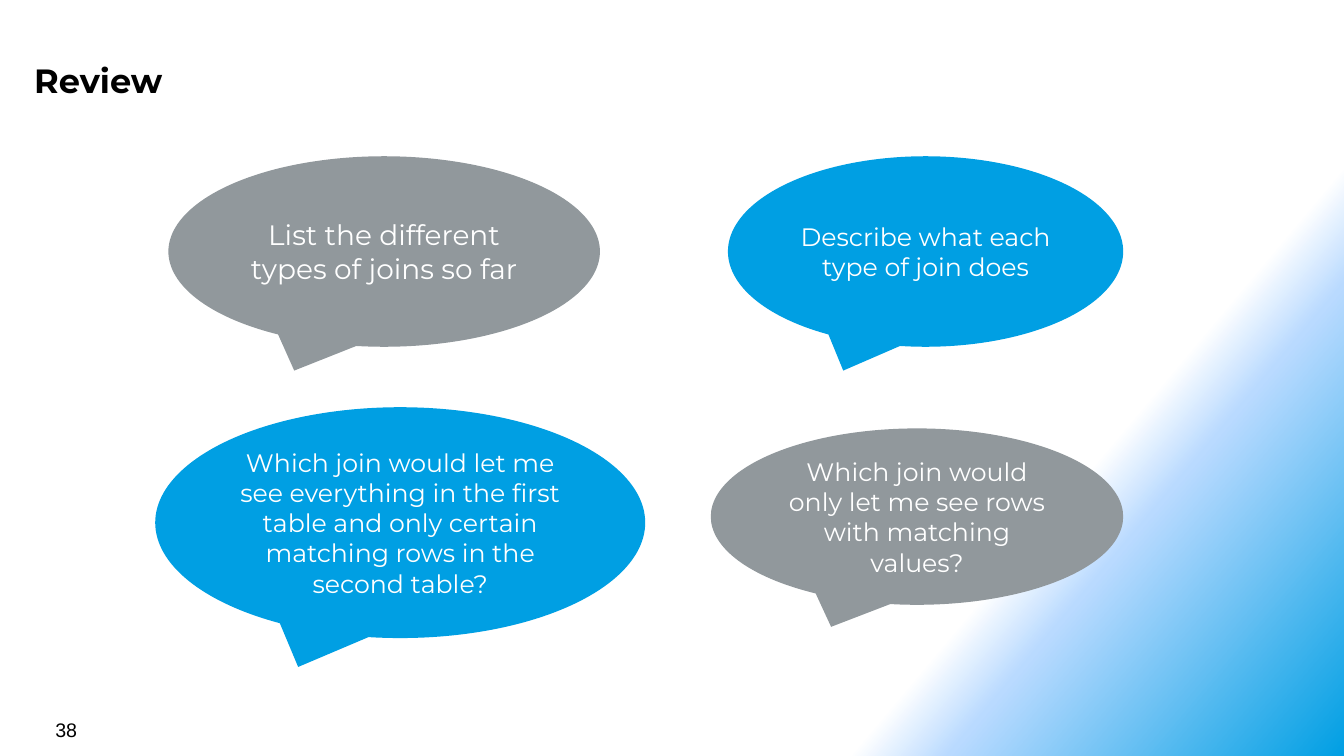
from pptx import Presentation
from pptx.dml.color import RGBColor
from pptx.enum.shapes import MSO_SHAPE
from pptx.enum.text import MSO_ANCHOR, PP_ALIGN
from pptx.oxml import parse_xml
from pptx.oxml.ns import nsdecls, qn
from pptx.util import Inches, Pt

CALLOUT = MSO_SHAPE.OVAL_CALLOUT
MIDDLE = MSO_ANCHOR.MIDDLE
LEFT, CENTER = PP_ALIGN.LEFT, PP_ALIGN.CENTER

BLUE, GRAY, WHITE, BLACK = "009FE3", "91989C", "FFFFFF", "000000"
PALE_BLUE = "B9DAFF"
HEADING_FONT, NUMBER_FONT = "Montserrat", "Arial"


def color(value):
    return RGBColor.from_string(value)


class ReviewSlide:
    def __init__(self, presentation):
        self.slide = presentation.slides.add_slide(presentation.slide_layouts[6])

    def background(self, stops, angle):
        """Fill with a gradient; stops are (percent, color, opacity percent)."""
        fill = self.slide.background.fill
        fill.gradient()
        fill.gradient_angle = 360 - angle
        stop_list = self.slide.element.find(".//" + qn("a:gsLst"))
        for stop in list(stop_list):
            stop_list.remove(stop)
        for position, value, opacity in stops:
            stop_list.append(parse_xml(
                f'<a:gs {nsdecls("a")} pos="{position * 1000}"><a:srgbClr val="{value}">'
                f'<a:alpha val="{opacity * 1000}"/></a:srgbClr></a:gs>'))

    def set_text(self, shape, text, size, font, text_color, bold=False, align=LEFT):
        text_frame = shape.text_frame
        text_frame.word_wrap = True
        text_frame.text = text
        paragraph = text_frame.paragraphs[0]
        paragraph.alignment = align
        style = paragraph.runs[0].font
        style.size = Pt(size)
        style.name = font
        style.bold = bold
        style.color.rgb = color(text_color)

    def text(self, box, text, size, font, bold=False, inset=None):
        shape = self.slide.shapes.add_textbox(*map(Inches, box))
        self.set_text(shape, text, size, font, BLACK, bold)
        if inset is not None:
            text_frame = shape.text_frame
            text_frame.margin_left = text_frame.margin_right = Inches(inset)
            text_frame.margin_top = text_frame.margin_bottom = Inches(inset)

    def bubble(self, box, fill_color, text, size):
        shape = self.slide.shapes.add_shape(CALLOUT, *map(Inches, box))
        shape.shadow.inherit = False
        shape.fill.solid()
        shape.fill.fore_color.rgb = color(fill_color)
        shape.line.fill.background()
        shape.text_frame.vertical_anchor = MIDDLE
        self.set_text(shape, text, size, HEADING_FONT, WHITE, align=CENTER)


def main():
    presentation = Presentation()
    presentation.slide_width = Inches(13.33)
    presentation.slide_height = Inches(7.5)
    review = ReviewSlide(presentation)

    # Background and title
    review.background([(75, WHITE, 100), (80, PALE_BLUE, 50), (100, BLUE, 100)], angle=40)
    review.text((0.26, 0.51, 12.26, 0.55), "Review", 24, HEADING_FONT, bold=True, inset=0.08)

    # Review questions
    questions = [
        ((1.67, 1.55, 4.28, 1.89), GRAY, "List the different types of joins so far", 20),
        ((1.54, 4.04, 4.86, 2.29), BLUE,
         "Which join would let me see everything in the first table "
         "and only certain matching rows in the second table?", 18),
        ((7.22, 1.55, 3.92, 1.89), BLUE, "Describe what each type of join does", 18),
        ((7.05, 4.25, 4.09, 1.75), GRAY,
         "Which join would only let me see rows with matching values?", 18),
    ]
    for question in questions:
        review.bubble(*question)

    # Page number
    review.text((0.45, 7.07, 3.11, 0.33), "38", 14, NUMBER_FONT)

    presentation.save("out.pptx")


if __name__ == "__main__":
    main()
